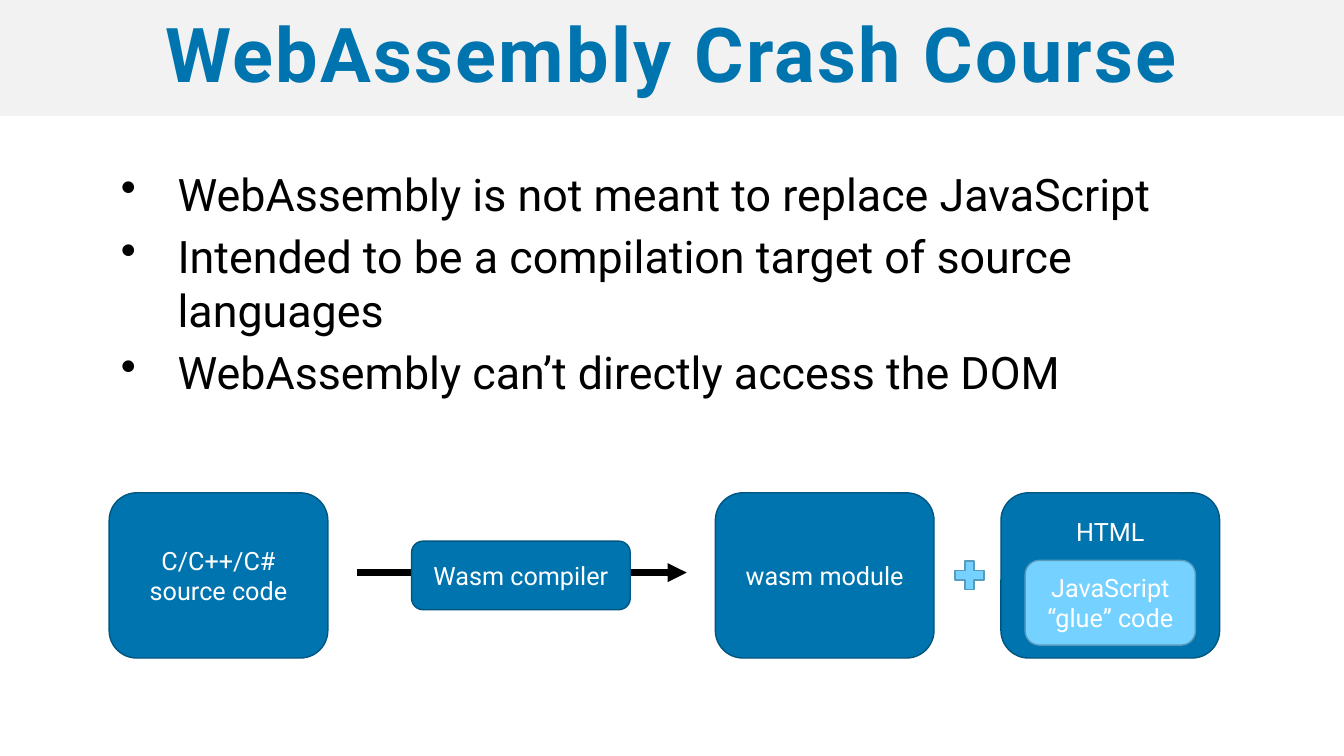
from dataclasses import dataclass

from lxml.etree import SubElement as Sub
from pptx import Presentation
from pptx.dml.color import RGBColor as RGB
from pptx.enum.shapes import MSO_CONNECTOR as Line, MSO_SHAPE as Kind
from pptx.enum.text import MSO_ANCHOR as Anchor, PP_ALIGN as Align
from pptx.oxml.ns import qn
from pptx.util import Pt


@dataclass(frozen=True)
class Theme:
    """Hold the colours, font and type sizes."""
    face: str = "Roboto"
    blue: str = "0074AF"
    navy: str = "005681"
    sky: str = "75D1FF"
    steel: str = "579BBD"
    band: str = "F2F2F2"
    black: str = "000000"
    white: str = "FFFFFF"
    head: int = 54
    body: int = 32
    label: int = 18


T = Theme()


def style(par, size, color, bold=False):
    """Set the font of a paragraph."""
    font = par.font
    font.name, font.size, font.bold = T.face, Pt(size), bold
    font.color.rgb = RGB.from_string(color)


def inset(frame, side, edge):
    """Set the side and top/bottom margins of a text frame."""
    frame.margin_left = frame.margin_right = Pt(side)
    frame.margin_top = frame.margin_bottom = Pt(edge)


def block(slide, kind, box, fill, edge=None):
    """Add a flat filled shape with an optional outline."""
    shape = slide.shapes.add_shape(kind, *map(Pt, box))
    shape.shadow.inherit = False
    shape.fill.solid()
    shape.fill.fore_color.rgb = RGB.from_string(fill)
    if edge:
        shape.line.color.rgb = RGB.from_string(edge)
        shape.line.width = Pt(1)
    else:
        shape.line.fill.background()
    return shape


def card(slide, box, text, fill=T.blue, edge=T.navy, top=None):
    """Add a labelled round box, its label centred or at a given top."""
    frame = block(slide, Kind.ROUNDED_RECTANGLE, box, fill, edge).text_frame
    frame.word_wrap = True
    frame.vertical_anchor = Anchor.MIDDLE
    if top is not None:
        frame.vertical_anchor = Anchor.TOP
        frame.margin_top = Pt(top)
    par = frame.paragraphs[0]
    par.text, par.alignment = text, Align.CENTER
    style(par, T.label, T.white)


def title(slide, box, text):
    """Draw the title band."""
    frame = block(slide, Kind.RECTANGLE, box, T.band).text_frame
    frame.word_wrap = True
    frame.vertical_anchor = Anchor.MIDDLE
    inset(frame, 36, 3.6)
    par = frame.paragraphs[0]
    par.text, par.alignment, par.line_spacing = text, Align.CENTER, 0.9
    style(par, T.head, T.blue, True)
    par.runs[0].font._element.set("spc", "160")


def points(slide, box, items):
    """Draw the bullet list."""
    frame = slide.shapes.add_textbox(*map(Pt, box)).text_frame
    frame.word_wrap = True
    inset(frame, 50.4, 36)
    for num, item in enumerate(items):
        par = frame.add_paragraph() if num else frame.paragraphs[0]
        par.text, par.space_after = item, Pt(6)
        style(par, T.body, T.black)
        props = par._p.get_or_add_pPr()
        props.set("marL", str(Pt(76.4)))
        props.set("indent", str(-Pt(40.4)))
        mark = props.makeelement(qn("a:buChar"), {"char": "•"})
        props.find(qn("a:defRPr")).addprevious(mark)


def arrow(slide, left, right, y):
    """Draw a thick level arrow."""
    link = slide.shapes.add_connector(
        Line.STRAIGHT, Pt(left), Pt(y), Pt(right), Pt(y))
    link.line.color.rgb = RGB.from_string(T.black)
    link.line.width = Pt(4.5)
    Sub(link.line._get_or_add_ln(), qn("a:tailEnd"), type="triangle")
    Sub(link._element.spPr, qn("a:effectLst"))


def flow(slide, box):
    """Draw the path from source code to module and page."""
    x, y, w, h = box
    wide, slim = 156.2, 49
    mid = x + 433
    page = x + w - wide
    arrow(slide, x + 177, x + 412.5, y + 57)
    card(slide, (x, y, wide, h), "C/C++/C# source code")
    card(slide, (x + 216, y + (h - slim) / 2, wide, slim), "Wasm compiler")
    card(slide, (mid, y, wide, h), "wasm module")
    card(slide, (page, y, wide, h), "HTML", top=11)
    card(slide, (page + 17.3, y + 48.3, wide - 34.6, 60.5),
         "JavaScript “glue” code", T.sky, T.steel)
    plus = 28
    block(slide, Kind.MATH_PLUS, (x + 600.5, y + (h - plus) / 2, plus, plus),
          T.sky, T.steel)


def main():
    """Build and save the slide."""
    deck = Presentation()
    deck.slide_width, deck.slide_height = Pt(960), Pt(540)
    slide = deck.slides.add_slide(deck.slide_layouts[6])
    title(slide, (0, 0, 960, 82.8), "WebAssembly Crash Course")
    points(slide, (0, 82.8, 960, 240), (
        "WebAssembly is not meant to replace JavaScript",
        "Intended to be a compilation target of source languages",
        "WebAssembly can’t directly access the DOM"))
    flow(slide, (78, 352, 793.2, 118))
    deck.save("out.pptx")


main()
